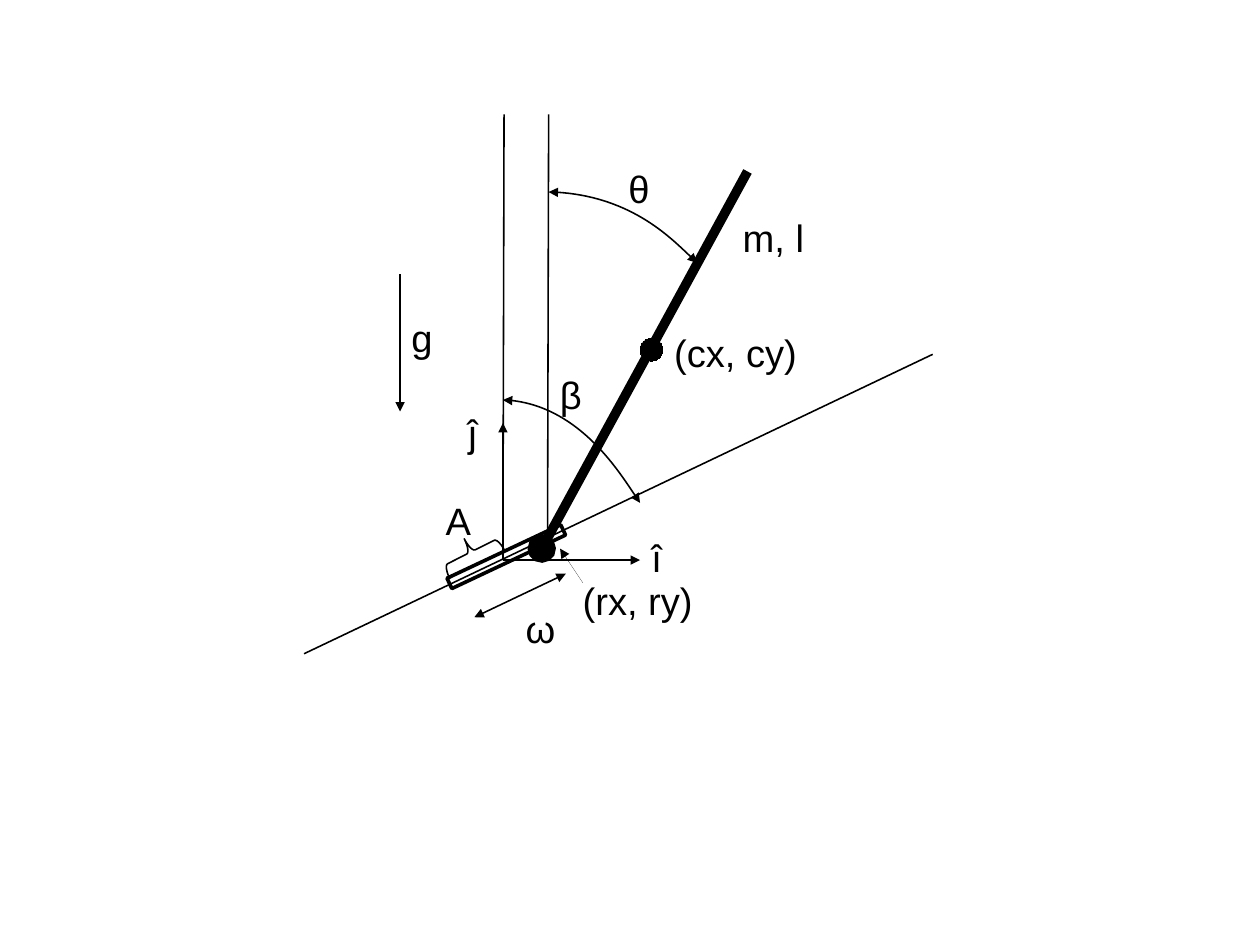
from lxml import etree
from pptx import Presentation
from pptx import util as u
from pptx.dml.color import RGBColor
from pptx.enum import shapes, text
from pptx.oxml.ns import qn

COLORS = {"ink": "000000"}
FONT = "Arial"
LABEL_SIZE = (1.4, 0.47)
ARROW = "triangle"

# start, end, width in points, head at start, head at end
LINES = [
    ((4.4, 4.9), (4.4, 3.7), 1.5, None, ARROW),       # j axis
    ((4.4, 4.9), (5.6, 4.9), 1.5, None, ARROW),       # i axis
    ((4.74, 4.8), (6.54, 1.5), 6, "oval", None),      # pendulum rod
    ((2.66, 5.72), (8.16, 3.1), 1, None, None),       # incline
    ((4.79, 4.9), (4.8, 1), 1, None, None),           # vertical through pivot
    ((4.4, 4.9), (4.41, 1), 1, None, None),           # vertical through origin
    ((5.1, 5.1), (4.9, 4.8), 0, None, ARROW),         # pointer to pivot
    ((4.15, 5.4), (4.95, 5.02), 1, ARROW, ARROW),     # oscillation
    ((3.5, 2.4), (3.5, 3.6), 1.5, None, ARROW),       # gravity
]

# preset, left, top, width, height, rotation, line width, filled
PRESETS = [
    (shapes.MSO_SHAPE.RECTANGLE, 3.88, 4.82, 1.1, 0.1, 334.8, 2.3, False),
    (shapes.MSO_SHAPE.LEFT_BRACE, 3.99, 4.56, 0.26, 0.54, 63.3, 1, False),
    (shapes.MSO_SHAPE.OVAL, 5.6, 2.96, 0.2, 0.2, 0, 0, True),
]
BRACE_CURL = 0.16

# start, first control point, end (also the second control point)
ANGLE_ARCS = [
    ((4.4, 3.5), (5.04, 3.5), (5.6, 4.4)),
    ((4.8, 1.68), (5.5, 1.68), (6.1, 2.3)),
]

LABELS = [
    ("m, l", 6.4, 1.83),
    ("(cx, cy)", 5.8, 2.83),
    ("(rx, ry)", 5, 5),
    ("θ", 5.4, 1.4),
    ("β", 4.8, 3.2),
    ("A", 3.8, 4.3),
    ("ω", 4.5, 5.25),
    ("g", 3.5, 2.7),
    ("î", 5.6, 4.63),
    ("ĵ", 4, 3.53),
]


def ink():
    return RGBColor.from_string(COLORS["ink"])


def inches(*values):
    return [u.Inches(value) for value in values]


def style_line(shape, width, head=None, tail=None):
    """Set the outline and drop the theme style, which would thicken hairlines."""
    shape.line.color.rgb = ink()
    shape.line.width = u.Pt(width)
    outline = shape.line._get_or_add_ln()
    outline.set("w", str(u.Pt(width)))
    for tag, kind in (("a:headEnd", head), ("a:tailEnd", tail)):
        if kind:
            etree.SubElement(outline, qn(tag), type=kind)
    theme_style = shape._element.find(qn("p:style"))
    if theme_style is not None:
        shape._element.remove(theme_style)


def add_line(slide, start, end, width, head, tail):
    connector = slide.shapes.add_connector(
        shapes.MSO_CONNECTOR.STRAIGHT, *inches(*start, *end))
    style_line(connector, width, head, tail)
    etree.SubElement(connector._element.spPr, qn("a:effectLst"))


def add_preset(slide, preset, left, top, width, height, rotation, line_width, filled):
    shape = slide.shapes.add_shape(preset, *inches(left, top, width, height))
    shape.shadow.inherit = False
    shape.rotation = rotation
    if filled:
        shape.fill.solid()
        shape.fill.fore_color.rgb = ink()
    else:
        shape.fill.background()
    style_line(shape, line_width)
    if preset == shapes.MSO_SHAPE.LEFT_BRACE:
        shape.adjustments[0] = BRACE_CURL


def add_angle_arc(slide, start, control, end):
    """Draw a double-headed arc by merging three segments into one Bezier curve."""
    builder = slide.shapes.build_freeform(*inches(*start), scale=1.0)
    builder.add_line_segments([inches(*point) for point in (control, end, end)], close=False)
    arc = builder.convert_to_shape()
    segments = list(arc._element.iter(qn("a:lnTo")))
    curve = etree.SubElement(segments[0].getparent(), qn("a:cubicBezTo"))
    for segment in segments:
        curve.append(segment[0])
        segment.getparent().remove(segment)
    arc.shadow.inherit = False
    arc.fill.background()
    style_line(arc, 1, ARROW, ARROW)


def add_label(slide, wording, left, top):
    box = slide.shapes.add_textbox(*inches(left, top, *LABEL_SIZE))
    frame = box.text_frame
    frame.word_wrap = True
    frame.auto_size = text.MSO_AUTO_SIZE.SHAPE_TO_FIT_TEXT
    run = frame.paragraphs[0].add_run()
    run.text = wording
    run.font.name = FONT
    run.font.size = u.Pt(24)
    run.font.color.rgb = ink()


def main():
    presentation = Presentation()
    presentation.slide_width = u.Mm(280)
    presentation.slide_height = u.Mm(210)
    slide = presentation.slides.add_slide(presentation.slide_layouts[6])
    for draw, items in (
        (add_line, LINES),
        (add_preset, PRESETS),
        (add_angle_arc, ANGLE_ARCS),
        (add_label, LABELS),
    ):
        for item in items:
            draw(slide, *item)
    presentation.save("out.pptx")


if __name__ == "__main__":
    main()
